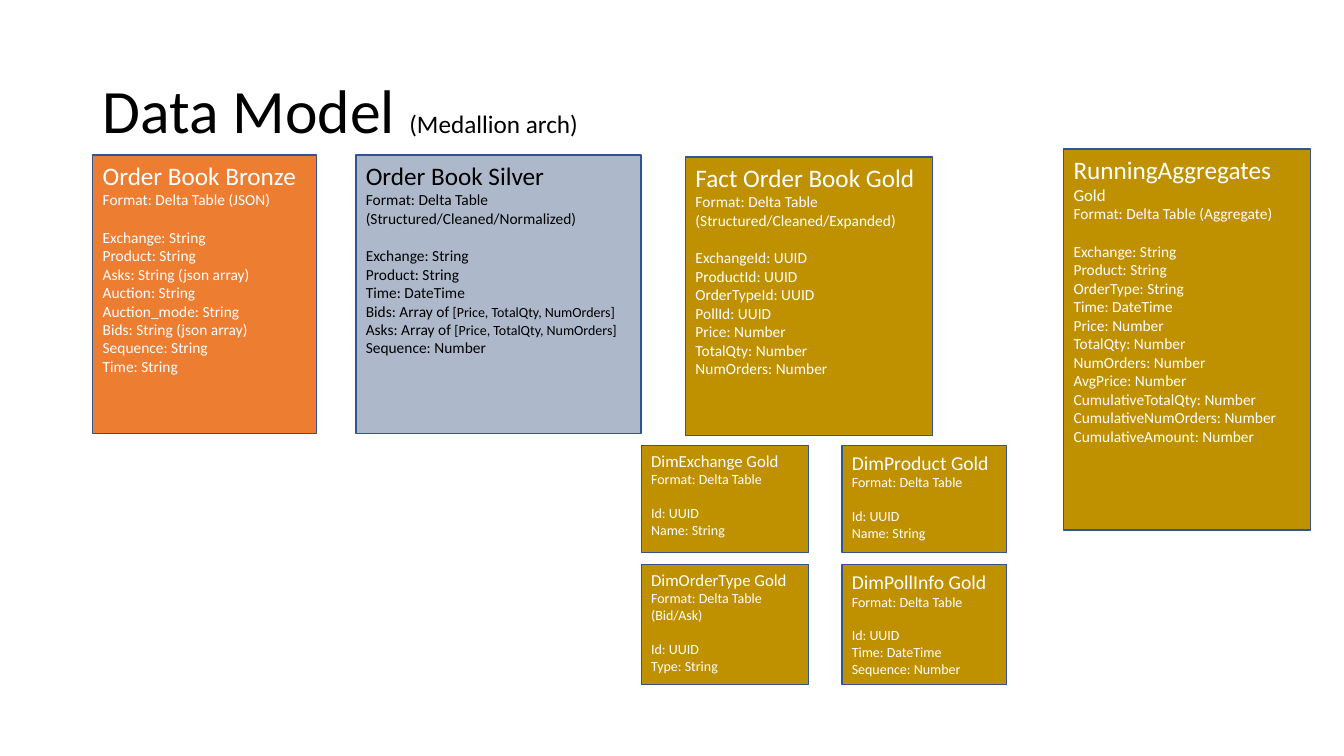
from pptx import Presentation
from pptx.util import Inches, Pt
from pptx.dml.color import RGBColor
from pptx.enum import shapes, text

WIDE, HIGH = Inches(13.33), Inches(7.5)
FONT = "Calibri"
HUES = {
    "black": "000000", "white": "FFFFFF", "edge": "325491",
    "bronze": "ED7D31", "silver": "ADB9CA", "gold": "BF9000",
}


def hue(name):
    return RGBColor.from_string(HUES[name])


def place(box):
    x, y, w, h = box
    return [round(n * side / 100) for n, side in
            ((x, WIDE), (y, HIGH), (w, WIDE), (h, HIGH))]


def write(par, runs, ink):
    par.alignment = text.PP_ALIGN.LEFT
    for words, size in runs:
        run = par.add_run()
        run.text = words
        run.font.name = FONT
        run.font.size = Pt(size)
        run.font.color.rgb = hue(ink)


def title(slide, box):
    frame = slide.shapes.add_textbox(*place(box)).text_frame
    frame.word_wrap = True
    frame.vertical_anchor = text.MSO_ANCHOR.MIDDLE
    par = frame.paragraphs[0]
    par.line_spacing = 0.9
    write(par, [("Data Model ", 44), ("(Medallion arch)", 18)], "black")


def card(slide, box, fill, head, forms, fields, size=11, ink="white"):
    shape = slide.shapes.add_shape(shapes.MSO_SHAPE.RECTANGLE, *place(box))
    shape.shadow.inherit = False
    shape.fill.solid()
    shape.fill.fore_color.rgb = hue(fill)
    shape.line.color.rgb = hue("edge")
    shape.line.width = Pt(1)
    frame = shape.text_frame
    frame.word_wrap = True
    frame.vertical_anchor = text.MSO_ANCHOR.TOP
    write(frame.paragraphs[0], head, ink)
    for form in forms:
        write(frame.add_paragraph(), [(form, size)], ink)
    for i, field in enumerate(fields):
        par = frame.add_paragraph()
        if i == 0:
            par.space_before = Pt(size * 1.22)
        name, mark, rest = field.partition(" [")
        runs = [(name, size)]
        if mark:
            runs.append((mark + rest, 10))
        write(par, runs, ink)


def books(slide, box):
    x, y, w, h = box
    card(slide, (x, y, 16.65, h), "bronze", [("Order Book Bronze", 18)],
         ["Format: Delta Table (JSON)"],
         ["Exchange: String", "Product: String", "Asks: String (json array)",
          "Auction: String", "Auction_mode: String",
          "Bids: String (json array)", "Sequence: String", "Time: String"])
    card(slide, (x + 19.58, y, 21.23, h), "silver", [("Order Book Silver", 18)],
         ["Format: Delta Table (Structured/Cleaned/Normalized)"],
         ["Exchange: String", "Product: String", "Time: DateTime",
          "Bids: Array of [Price, TotalQty, NumOrders]",
          "Asks: Array of [Price, TotalQty, NumOrders]",
          "Sequence: Number"], ink="black")
    card(slide, (x + w - 18.38, y + 0.27, 18.38, h), "gold",
         [("Fact Order Book Gold", 18)],
         ["Format: Delta Table (Structured/Cleaned/Expanded)"],
         ["ExchangeId: UUID", "ProductId: UUID", "OrderTypeId: UUID",
          "PollId: UUID", "Price: Number", "TotalQty: Number",
          "NumOrders: Number"])


def dims(slide, box):
    x, y, w, h = box
    cols = [(x, 12.45, 12), (x + w - 12.23, 12.23, 14)]
    rows = [(y, 14.13), (y + h - 15.87, 15.87)]
    cells = [
        ("DimExchange", [], ["Name: String"]),
        ("DimProduct", [], ["Name: String"]),
        ("DimOrderType", ["(Bid/Ask)"], ["Type: String"]),
        ("DimPollInfo", [], ["Time: DateTime", "Sequence: Number"]),
    ]
    for i, (name, extra, fields) in enumerate(cells):
        left, wide, big = cols[i % 2]
        top, high = rows[i // 2]
        card(slide, (left, top, wide, high), "gold", [(name + " Gold", big)],
             ["Format: Delta Table"] + extra, ["Id: UUID"] + fields, size=10)


def totals(slide, box):
    card(slide, box, "gold", [("RunningAggregates", 18), (" Gold", 12)],
         ["Format: Delta Table (Aggregate)"],
         ["Exchange: String", "Product: String", "OrderType: String",
          "Time: DateTime", "Price: Number", "TotalQty: Number",
          "NumOrders: Number", "AvgPrice: Number",
          "CumulativeTotalQty: Number", "CumulativeNumOrders: Number",
          "CumulativeAmount: Number"])


def main():
    deck = Presentation()
    deck.slide_width, deck.slide_height = WIDE, HIGH
    slide = deck.slides.add_slide(deck.slide_layouts[6])
    title(slide, (6.9, 5.33, 86.27, 19.33))
    books(slide, (6.9, 20.53, 62.49, 36.8))
    dims(slide, (47.71, 58.93, 27.16, 31.61))
    totals(slide, (79.14, 19.73, 18.38, 50.4))
    deck.save("out.pptx")


if __name__ == "__main__":
    main()
